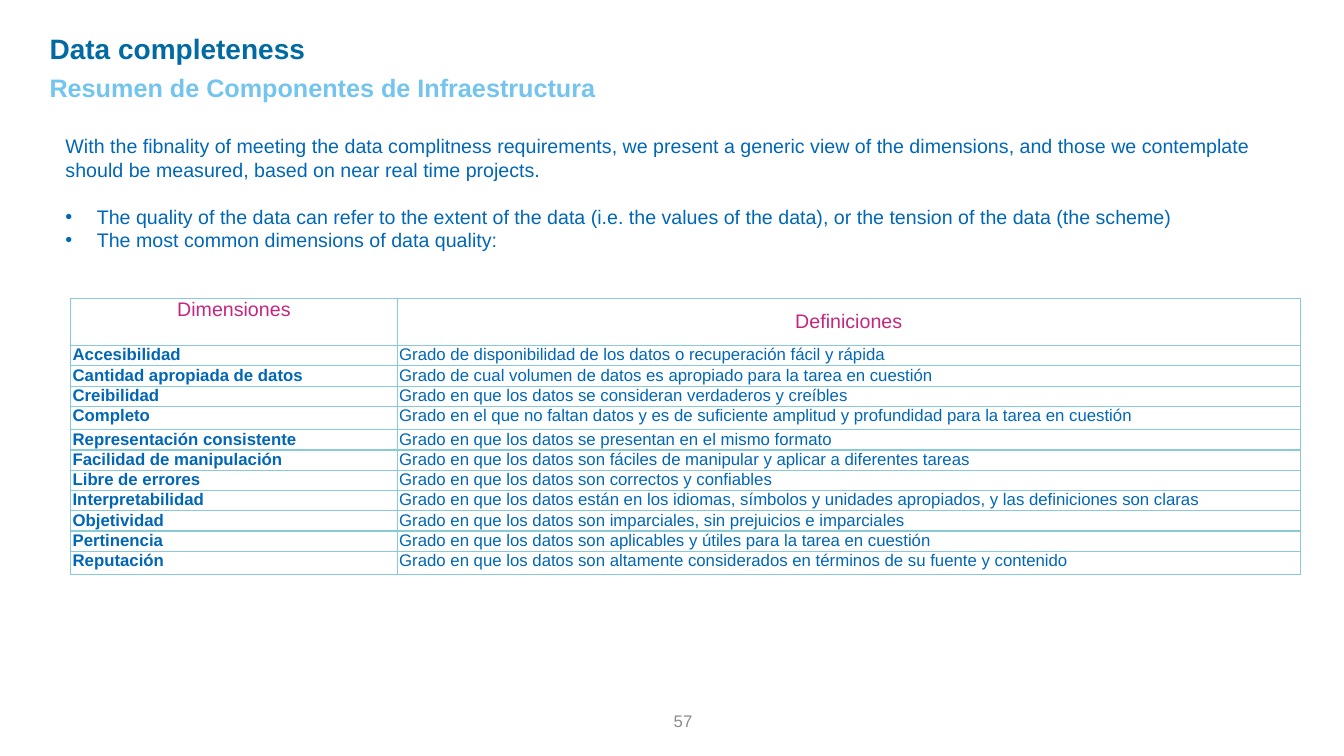
from lxml.etree import SubElement
from pptx import Presentation
from pptx.dml.color import RGBColor
from pptx.enum.text import MSO_ANCHOR, MSO_AUTO_SIZE, PP_ALIGN
from pptx.oxml.ns import qn
from pptx.util import Cm, Pt

NAVY = RGBColor(0x01, 0x6A, 0xA2)
SKY = RGBColor(0x73, 0xC4, 0xEF)
BLUE = RGBColor(0x00, 0x67, 0xB7)
MAGENTA = RGBColor(0xC5, 0x27, 0x7F)
GRAY = RGBColor(0x8C, 0x8C, 0x8C)
AQUA = RGBColor(0x87, 0xCB, 0xD8)

INTRO = (
    "With the fibnality of meeting the data complitness requirements, we present "
    "a generic view of the dimensions, and those we contemplate should be measured, "
    "based on near real time projects."
)
BULLETS = [
    "The quality of the data can refer to the extent of the data "
    "(i.e. the values of the data), or the tension of the data (the scheme)",
    "The most common dimensions of data quality:",
]
HEADINGS = ("Dimensiones", "Definiciones")
DIMENSIONS = [
    ("Accesibilidad", "Grado de disponibilidad de los datos o recuperación fácil y rápida"),
    ("Cantidad apropiada de datos",
     "Grado de cual volumen de datos es apropiado para la tarea en cuestión"),
    ("Creibilidad", "Grado en que los datos se consideran verdaderos y creíbles"),
    ("Completo", "Grado en el que no faltan datos y es de suficiente amplitud y "
     "profundidad para la tarea en cuestión"),
    ("Representación consistente", "Grado en que los datos se presentan en el mismo formato"),
    ("Facilidad de manipulación",
     "Grado en que los datos son fáciles de manipular y aplicar a diferentes tareas"),
    ("Libre de errores", "Grado en que los datos son correctos y confiables"),
    ("Interpretabilidad", "Grado en que los datos están en los idiomas, símbolos y unidades "
     "apropiados, y las definiciones son claras"),
    ("Objetividad", "Grado en que los datos son imparciales, sin prejuicios e imparciales"),
    ("Pertinencia", "Grado en que los datos son aplicables y útiles para la tarea en cuestión"),
    ("Reputación", "Grado en que los datos son altamente considerados en términos de su "
     "fuente y contenido"),
]
TALL_ROWS = ("Completo", "Reputación")


class SlideBuilder:
    font_name = "Arial"

    def __init__(self, slide):
        self.slide = slide

    def style(self, para, size, color, bold=False, align=PP_ALIGN.LEFT):
        para.alignment = align
        para.space_before = Pt(0)
        for span in para.runs:
            span.font.name = self.font_name
            span.font.size = Pt(size)
            span.font.bold = bold
            span.font.color.rgb = color

    def place(self, box, left, top, width, height, inset, anchor=MSO_ANCHOR.TOP):
        box.left, box.top, box.width, box.height = map(Cm, (left, top, width, height))
        frame = box.text_frame
        frame.word_wrap = True
        frame.auto_size = MSO_AUTO_SIZE.NONE
        frame.vertical_anchor = anchor
        frame.margin_left = frame.margin_right = Cm(inset)
        frame.margin_top = frame.margin_bottom = Cm(0.13)
        return frame

    def title(self, text, area):
        frame = self.place(self.slide.shapes.title, *area, inset=0.13)
        frame.text = text
        self.style(frame.paragraphs[0], 20, NAVY, bold=True)

    def label(self, text, area, inset, size, color, anchor=MSO_ANCHOR.TOP, **look):
        box = self.slide.shapes.add_textbox(*map(Cm, area))
        frame = self.place(box, *area, inset=inset, anchor=anchor)
        frame.text = text
        self.style(frame.paragraphs[0], size, color, **look)

    def bullet(self, para, mark=None, indent=0.0):
        properties = para._p.get_or_add_pPr()
        properties.set("marL", str(Cm(indent)))
        properties.set("indent", str(-Cm(indent)))
        if mark:
            SubElement(properties, qn("a:buChar"), char=mark)
        else:
            SubElement(properties, qn("a:buNone"))

    def body(self, intro, bullets, area):
        frame = self.place(self.slide.placeholders[1], *area, inset=0.25)
        frame.text = "\n".join([intro, *bullets])
        for index, para in enumerate(frame.paragraphs):
            if index == 0:
                self.bullet(para)
            else:
                self.bullet(para, "•", 0.79)
            self.style(para, 14, BLUE)
        frame.paragraphs[1].space_before = Pt(16.7)

    def borders(self, cell):
        properties = cell._tc.get_or_add_tcPr()
        for side in ("lnL", "lnR", "lnT", "lnB"):
            line = SubElement(properties, qn(f"a:{side}"), w=str(Pt(1)))
            fill = SubElement(line, qn("a:solidFill"))
            SubElement(fill, qn("a:srgbClr"), val=str(AQUA))

    def cell(self, cell, text, anchor, **look):
        cell.text = text
        cell.margin_left = cell.margin_right = Cm(0.05)
        cell.margin_top = cell.margin_bottom = 0
        cell.vertical_anchor = anchor
        self.borders(cell)
        cell.fill.background()
        self.style(cell.text_frame.paragraphs[0], **look)

    def table(self, headings, rows, left, top, widths, header_height, heights):
        row_heights = [header_height, *heights]
        frame = self.slide.shapes.add_table(
            len(row_heights), len(widths), Cm(left), Cm(top),
            Cm(sum(widths)), Cm(sum(row_heights)))
        table = frame.table
        table.first_row = table.horz_banding = False
        for column, width in zip(table.columns, widths):
            column.width = Cm(width)
        for row, height in zip(table.rows, row_heights):
            row.height = Cm(height)

        # Header row
        anchors = (MSO_ANCHOR.TOP, MSO_ANCHOR.MIDDLE)
        for column, (text, anchor) in enumerate(zip(headings, anchors)):
            self.cell(table.cell(0, column), text, anchor,
                      size=14, color=MAGENTA, align=PP_ALIGN.CENTER)

        # One row per dimension, with its name in bold
        for row, texts in enumerate(rows, start=1):
            for column, text in enumerate(texts):
                self.cell(table.cell(row, column), text, MSO_ANCHOR.TOP, size=12,
                          color=BLUE, bold=column == 0, align=PP_ALIGN.JUSTIFY)


def main():
    deck = Presentation()
    deck.slide_width, deck.slide_height = Cm(33.87), Cm(19.05)
    page = SlideBuilder(deck.slides.add_slide(deck.slide_layouts[1]))

    # Headings
    page.title("Data completeness", (1.12, 0.66, 21.08, 1.12))
    page.label("Resumen de Componentes de Infraestructura", (1.12, 1.7, 14.83, 1.02),
               0.13, 18, SKY, bold=True)

    # Introduction and list
    page.body(INTRO, BULLETS, (1.4, 3.25, 30.99, 3.25))

    # Table of dimensions
    heights = [0.59 if name in TALL_ROWS else 0.51 for name, _ in DIMENSIONS]
    page.table(HEADINGS, DIMENSIONS, 1.78, 7.52, (8.23, 22.76), 1.19, heights)

    # Page number
    page.label("57", (8.48, 17.65, 9.22, 1.02), 0.25, 12, GRAY,
               anchor=MSO_ANCHOR.MIDDLE, align=PP_ALIGN.RIGHT)

    deck.save("out.pptx")


if __name__ == "__main__":
    main()
